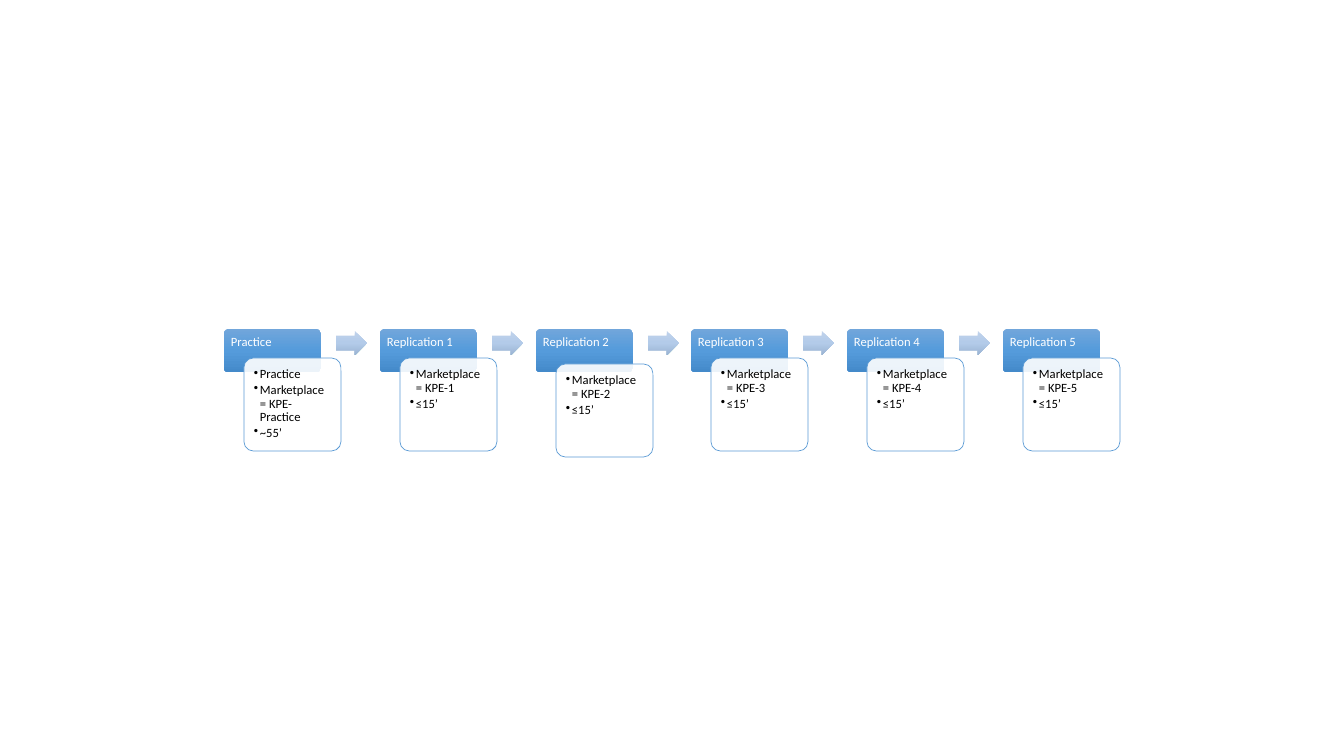
from copy import deepcopy

from lxml.etree import SubElement
from pptx import Presentation
from pptx.dml.color import RGBColor
from pptx.enum.shapes import MSO_SHAPE
from pptx.enum.text import MSO_ANCHOR
from pptx.oxml.ns import qn
from pptx.util import Pt

SCALE = 914400 / 100.8
WHITE = RGBColor(0xFF, 0xFF, 0xFF)
BLACK = RGBColor(0, 0, 0)
BLUE = RGBColor(0x5B, 0x9B, 0xD5)
HEAD = [RGBColor(0x71, 0xA6, 0xDB), RGBColor(0x55, 0x9B, 0xDB), RGBColor(0x44, 0x8A, 0xCA)]
ARROW = [RGBColor(0xC0, 0xD2, 0xEB), RGBColor(0xB3, 0xCB, 0xE9), RGBColor(0x9B, 0xB4, 0xD3)]

LEFT, PITCH = 224, 155.8
PHASES = [("Practice", ["Practice", "Marketplace = KPE-Practice", "~55’"])]
PHASES += [(f"Replication {n}", [f"Marketplace = KPE-{n}", "≤15’"]) for n in range(1, 6)]


def px(size):
    """Turn pixels into EMU."""
    return round(size * SCALE)


def apply(item, values):
    """Set each attribute named in a dict."""
    for name, value in values.items():
        setattr(item, name, value)


class Deck:
    """Holds the style and the current slide."""

    font = {"name": "Calibri", "size": Pt(9), "bold": False}

    def __init__(self):
        """Open a wide deck with one blank slide."""
        self.show = Presentation()
        apply(self.show, {"slide_width": px(1344), "slide_height": px(756)})
        self.slide = self.show.slides.add_slide(self.show.slide_layouts[6])

    def shape(self, kind, box, adjust):
        """Add a preset shape without shadow or line."""
        shape = self.slide.shapes.add_shape(kind, *map(px, box))
        shape.shadow.inherit = False
        shape.line.fill.background()
        for spot, value in enumerate(adjust):
            shape.adjustments[spot] = value
        return shape

    def shade(self, kind, box, adjust, colors):
        """Add a shape with a three-stop downward gradient."""
        shape = self.shape(kind, box, adjust)
        shape.fill.gradient()
        shape.fill.gradient_angle = 270
        stops = shape._element.spPr.find(".//" + qn("a:gsLst"))
        stops.append(deepcopy(stops[0]))
        for spot, (stop, color) in enumerate(zip(shape.fill.gradient_stops, colors)):
            stop.color.rgb = color
            stop.position = spot / 2

    def card(self, box):
        """Add an outlined card of slightly clear white."""
        shape = self.shape(MSO_SHAPE.ROUNDED_RECTANGLE, box, [0.1])
        shape.fill.solid()
        shape.fill.fore_color.rgb = WHITE
        tint = shape._element.spPr.find(".//" + qn("a:srgbClr"))
        SubElement(tint, qn("a:alpha"), val="90000")
        shape.line.color.rgb = BLUE
        shape.line.width = Pt(0.5)

    def text(self, box, lines, color, after, low=7, bullet=False):
        """Add a text box with one paragraph for each line."""
        frame = self.slide.shapes.add_textbox(*map(px, box)).text_frame
        apply(frame, {"word_wrap": True, "vertical_anchor": MSO_ANCHOR.TOP,
                      "margin_left": px(7), "margin_right": px(7),
                      "margin_top": px(7), "margin_bottom": px(low)})
        frame.text = "\n".join(lines)
        for para in frame.paragraphs:
            apply(para, {"line_spacing": 0.9, "space_after": Pt(after)})
            run = para.runs[0]
            apply(run.font, self.font)
            run.font.color.rgb = color
            if bullet:
                props = para._p.get_or_add_pPr()
                props.set("marL", str(px(6)))
                props.set("indent", str(-px(6)))
                SubElement(props, qn("a:buChar"), char="•")

    def phase(self, left, top, title, lines):
        """Add a heading and the card that overlaps it."""
        self.shade(MSO_SHAPE.ROUNDED_RECTANGLE, (left, 329, 97, 43), [0.1], HEAD)
        self.text((left, 329, 97, 28), [title], WHITE, 3.15, low=4)
        self.card((left + 20, top, 97, 93))
        self.text((left + 23, top + 3, 92, 88), lines, BLACK, 1.35, bullet=True)


def main():
    """Build the row of phases joined by arrows."""
    deck = Deck()
    for step, (title, lines) in enumerate(PHASES):
        left = round(LEFT + step * PITCH)
        top = 364 if title == "Replication 2" else 358
        deck.phase(left, top, title, lines)
        if step < len(PHASES) - 1:
            deck.shade(MSO_SHAPE.RIGHT_ARROW, (left + 112, 331, 31, 24), [0.6, 0.5], ARROW)
    deck.show.save("out.pptx")


main()
